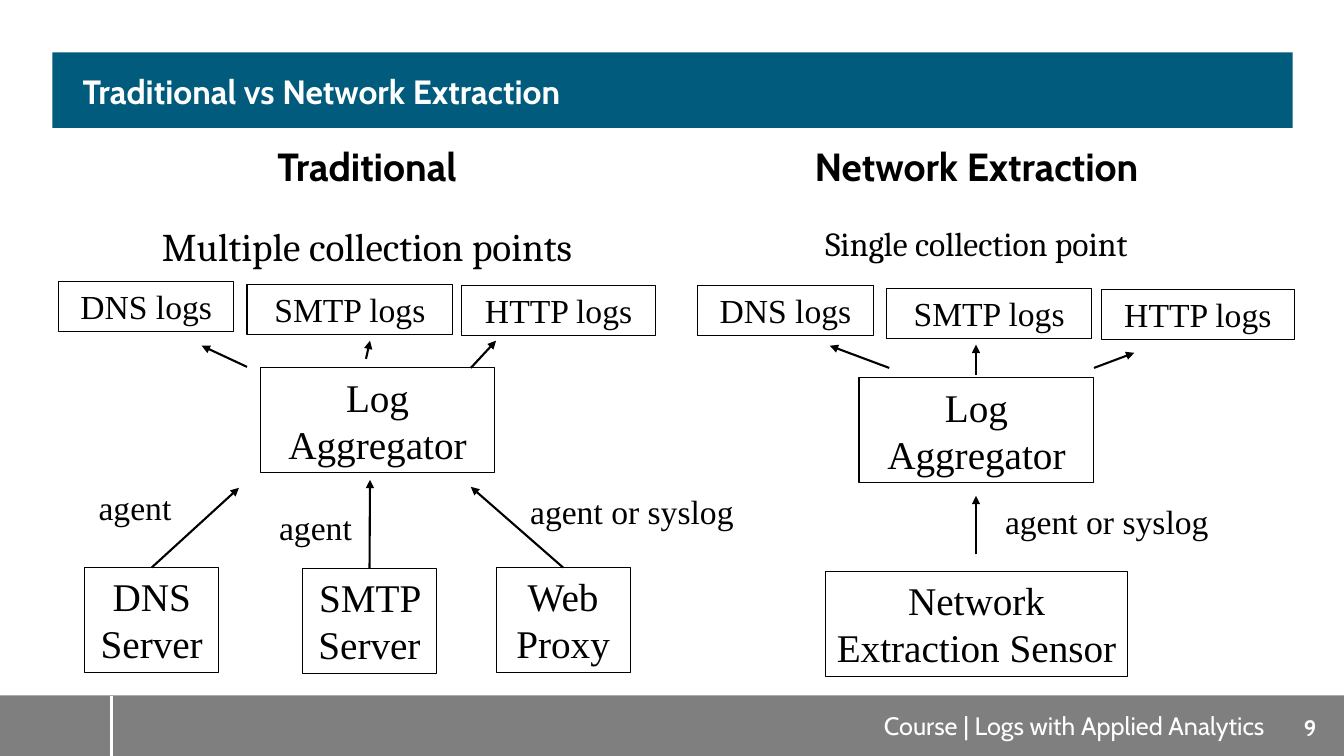
import pptx
import pptx.util
import pptx.dml.color
import pptx.enum.shapes
import pptx.enum.text
import pptx.oxml
import pptx.oxml.ns
from pptx.util import Inches

RGBColor = pptx.dml.color.RGBColor
WHITE = RGBColor(0xFF, 0xFF, 0xFF)
BLACK = RGBColor(0, 0, 0)
GREY = RGBColor(0x7F, 0x7F, 0x7F)
TEAL = RGBColor(0x00, 0x5B, 0x7D)

ALIGN = pptx.enum.text.PP_ALIGN
ANCHOR = pptx.enum.text.MSO_ANCHOR
FIT = pptx.enum.text.MSO_AUTO_SIZE
RECT = pptx.enum.shapes.MSO_SHAPE.RECTANGLE
STRAIGHT = pptx.enum.shapes.MSO_CONNECTOR.STRAIGHT

SANS = "Cabin"
SERIF = "Cambria"
ROMAN = "Times New Roman"

# Left, top and width of the log boxes, from the left edge and top of their row
LOGS = [("DNS logs", 0, 0, 1.74), ("SMTP logs", 1.87, 0.03, 2.04),
        ("HTTP logs", 4, 0.04, 1.92)]
# Name, left, top, and the tip of the arrow to the aggregator
SERVERS = [("DNS Server", 0.84, 5.63, (2.37, 4.84)),
           ("SMTP Server", 3, 5.64, (3.67, 4.76)),
           ("Web Proxy", 4.92, 5.63, (4.67, 4.83))]
ARROWS = [((4.67, 3.65), (4.92, 3.38)), ((3.63, 3.56), (3.67, 3.38)),
          ((2.45, 3.64), (2, 3.43)), ((8.82, 3.65), (8.23, 3.43)),
          ((9.68, 3.72), (9.68, 3.42)), ((10.85, 3.65), (11.25, 3.5)),
          ((9.68, 5.5), (9.68, 4.92))]
LABELS = [("agent", 0.88, 4.78, 0.96), ("agent", 2.67, 4.98, 0.96),
          ("agent or syslog", 5.16, 4.82, 2.33),
          ("agent or syslog", 9.87, 4.92, 2.33)]
# Left, width, heading, remark and the size of the remark
SIDES = [(0.72, 5.84, "Traditional", "Multiple collection points", 28),
         (6.75, 5.87, "Network Extraction", "Single collection point", 24)]


def write(frame, text, size, face, color=BLACK, bold=False,
          align=ALIGN.CENTER, space=None):
    """Fill a text frame, one paragraph for each line of the text."""
    frame.word_wrap = True
    for i, line in enumerate(text.split("\n")):
        para = frame.add_paragraph() if i else frame.paragraphs[0]
        para.alignment = align
        if space:
            para.line_spacing = space
        run = para.add_run()
        run.text = line
        font = run.font
        font.size = pptx.util.Pt(size)
        font.name = face
        font.bold = bold
        font.color.rgb = color


def add_text(slide, at, text, size, face, **style):
    box = slide.shapes.add_textbox(*map(Inches, at))
    write(box.text_frame, text, size, face, **style)
    return box.text_frame


def add_band(slide, at, color):
    band = slide.shapes.add_shape(RECT, *map(Inches, at))
    band.shadow.inherit = False
    band.fill.solid()
    band.fill.fore_color.rgb = color
    band.line.fill.background()


def add_box(slide, at, text, size=28):
    """Add an outlined box without fill."""
    box = slide.shapes.add_shape(RECT, *map(Inches, at))
    box.shadow.inherit = False
    box.fill.background()
    box.line.color.rgb = BLACK
    box.line.width = pptx.util.Pt(0.75)
    frame = box.text_frame
    frame.vertical_anchor = ANCHOR.TOP
    write(frame, text, size, ROMAN)
    frame.auto_size = FIT.SHAPE_TO_FIT_TEXT
    return box


def add_line(slide, start, end, color=BLACK, width=1.5):
    line = slide.shapes.add_connector(STRAIGHT, *map(Inches, start + end))
    line.line.color.rgb = color
    line.line.width = pptx.util.Pt(width)
    props = line.element.spPr
    props.append(pptx.oxml.parse_xml(
        "<a:effectLst %s/>" % pptx.oxml.ns.nsdecls("a")))
    return line


def add_arrow(slide, start, end):
    arrow = add_line(slide, start, end)
    stroke = arrow.element.spPr.find(pptx.oxml.ns.qn("a:ln"))
    stroke.append(pptx.oxml.parse_xml(
        '<a:tailEnd %s type="triangle"/>' % pptx.oxml.ns.nsdecls("a")))
    return arrow


def add_frame(slide):
    """Add the footer and the title on its bar."""
    add_band(slide, (0, 6.9, 13.33, 0.6), GREY)
    add_line(slide, (1.11, 6.9), (1.11, 7.5), WHITE, 2)
    add_text(slide, (5.97, 7, 6.67, 0.4),
             "Course | Logs with Applied Analytics", 18, SANS,
             color=WHITE, align=ALIGN.RIGHT)
    page = add_text(slide, (12.64, 6.92, 0.71, 0.6), "9", 16, SANS,
                    color=WHITE, bold=True)
    page.vertical_anchor = ANCHOR.MIDDLE
    add_band(slide, (0.52, 0.52, 12.3, 0.75), TEAL)

    title = slide.shapes.title
    slide.shapes.element.append(title.element)  # in front of the bar
    title.left, title.top = Inches(0.72), Inches(0.52)
    title.width, title.height = Inches(11.9), Inches(0.75)
    frame = title.text_frame
    frame.vertical_anchor = ANCHOR.MIDDLE
    frame.margin_top, frame.margin_bottom = Inches(0.07), 0
    write(frame, "Traditional vs Network Extraction", 24, SANS, WHITE,
          True, ALIGN.LEFT, 0.9)


def main():
    deck = pptx.Presentation()
    deck.slide_width, deck.slide_height = Inches(13.33), Inches(7.5)
    slide = deck.slides.add_slide(deck.slide_layouts[5])
    add_frame(slide)

    for left, width, head, remark, size in SIDES:
        add_text(slide, (left, 1.42, width, 0.65), head, 28, SANS,
                 bold=True, space=0.9)
        add_text(slide, (left, 2.21, width, 4.56), remark, size, SERIF,
                 space=0.9)

    for name, left, top, tip in SERVERS:
        box = add_box(slide, (left, top, 1.33, 1.04), name)
        arrow = add_arrow(slide, (left + 1.33 / 2, top), tip)
        arrow.begin_connect(box, 0)
    for left, top in ((2.58, 3.65), (8.52, 3.75)):
        add_box(slide, (left, top, 2.33, 1.04), "Log Aggregator")
    add_box(slide, (8.19, 5.67, 2.99, 1.04), "Network\nExtraction Sensor")

    for left, top in ((0.58, 2.79), (6.92, 2.83)):
        for name, right, down, width in LOGS:
            add_box(slide, (left + right, top + down, width, 0.5), name, 24)
    for name, left, top, width in LABELS:
        frame = add_text(slide, (left, top, width, 0.5), name, 24, ROMAN,
                         align=ALIGN.LEFT)
        frame.auto_size = FIT.SHAPE_TO_FIT_TEXT
    for start, end in ARROWS:
        add_arrow(slide, start, end)

    deck.save("out.pptx")


if __name__ == "__main__":
    main()
